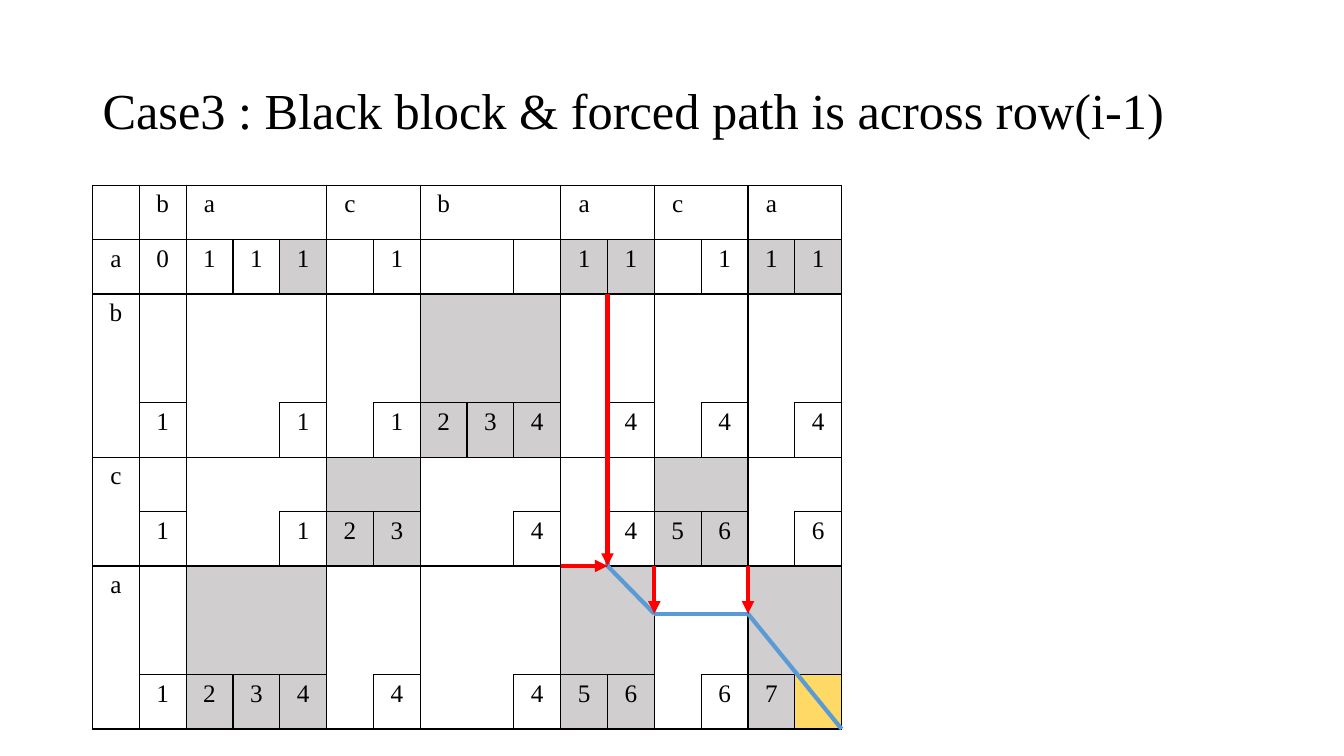
import pptx
import pptx.dml.color
import pptx.enum.shapes
import pptx.enum.text
import pptx.oxml
import pptx.oxml.ns
import pptx.util
from pptx.util import Cm


def color(hex_code):
    return pptx.dml.color.RGBColor.from_string(hex_code)


def write_text(frame, text, size, align, spacing=1.0):
    paragraph = frame.paragraphs[0]
    paragraph.text = text
    paragraph.alignment = align
    paragraph.line_spacing = spacing
    paragraph.font.size = pptx.util.Pt(size)
    paragraph.font.name = "Times New Roman"
    paragraph.font.color.rgb = color("000000")


ALIGN = pptx.enum.text.PP_ALIGN
NAMESPACE = pptx.oxml.ns.nsdecls("a")

# "." is an empty cell, "_" an empty cell with a box, like the digits.
GRID = [
    ".ba..c.b..a.c.a.",
    "a0111.1.._11.111",
    "b...............",
    "................",
    ".1..1.1234.4.4.4",
    "c...............",
    ".1..123..4.456.6",
    "a...............",
    "................",
    ".1234.4..456.67_",
]
COLUMN_BLOCKS = [0, 1, 2, 2, 2, 3, 3, 4, 4, 4, 5, 5, 6, 6, 7, 7]
ROW_BLOCKS = [0, 1, 2, 2, 2, 3, 3, 4, 4, 4]
COLUMN_LETTERS = ".bacbaca"
ROW_LETTERS = ".abca"
UNMATCHED = [(1, 2), (1, 3)]
CURRENT = (9, 15)
SIDES = [("lnL", 0, -1), ("lnR", 0, 1), ("lnT", -1, 0), ("lnB", 1, 0)]
LEFT, TOP, COLUMN_WIDTH, ROW_HEIGHT = 2.33, 4.67, 1.18, 1.37

deck = pptx.Presentation()
deck.slide_width, deck.slide_height = Cm(33.87), Cm(19.05)
slide = deck.slides.add_slide(deck.slide_layouts[5])

title = slide.shapes.title
title.left, title.top, title.width, title.height = Cm(2.33), Cm(1.01), Cm(29.21), Cm(3.68)
title.text_frame.vertical_anchor = pptx.enum.text.MSO_ANCHOR.MIDDLE
write_text(title.text_frame, "Case3 : Black block & forced path is across row(i-1)",
           size=36, align=ALIGN.LEFT, spacing=0.9)

row_count, column_count = len(GRID), len(GRID[0])
matrix = slide.shapes.add_table(
    row_count, column_count, Cm(LEFT), Cm(TOP),
    Cm(column_count * COLUMN_WIDTH), Cm(row_count * ROW_HEIGHT)).table
matrix.first_row = matrix.horz_banding = False
for column in matrix.columns:
    column.width = Cm(COLUMN_WIDTH)
for row in matrix.rows:
    row.height = Cm(ROW_HEIGHT)

for r, line in enumerate(GRID):
    for c, mark in enumerate(line):
        cell = matrix.cell(r, c)
        write_text(cell.text_frame, mark.strip("._"), size=18, align=ALIGN.CENTER)

        # Edges lie between blocks and around every boxed cell.
        for side, down, across in SIDES:
            r2, c2 = r + down, c + across
            inside = 0 <= r2 < row_count and 0 <= c2 < column_count
            drawn = (not inside
                     or ROW_BLOCKS[r] != ROW_BLOCKS[r2]
                     or COLUMN_BLOCKS[c] != COLUMN_BLOCKS[c2]
                     or mark in "0123456789_"
                     or GRID[r2][c2] in "0123456789_")
            stroke = '<a:solidFill><a:srgbClr val="000000"/></a:solidFill>' if drawn else "<a:noFill/>"
            cell._tc.get_or_add_tcPr().append(pptx.oxml.parse_xml(
                f'<a:{side} {NAMESPACE} w="12700">{stroke}</a:{side}>'))

        matching = (c > 1 and (r, c) not in UNMATCHED
                    and ROW_LETTERS[ROW_BLOCKS[r]] == COLUMN_LETTERS[COLUMN_BLOCKS[c]])
        if (r, c) == CURRENT:
            fill_color = "FFD966"
        elif matching:
            fill_color = "D0CECE"
        else:
            fill_color = "FFFFFF"
        cell.fill.solid()
        cell.fill.fore_color.rgb = color(fill_color)

# Path ends are (column, row) positions on the grid.
BLUE, RED = "5B9BD5", "FF0000"
PATH_STEPS = [
    ((16, 10), (14, 7.88), BLUE),
    ((14, 7.88), (12, 7.88), BLUE),
    ((12, 7.88), (11, 7), BLUE),
    ((11, 7), (11, 2), BLUE),
    ((14, 7), (14, 7.88), RED),
    ((12, 7), (12, 7.88), RED),
    ((10, 7), (11, 7), RED),
    ((11, 2), (11, 7), RED),
]
for start, end, step_color in PATH_STEPS:
    step = slide.shapes.add_connector(
        pptx.enum.shapes.MSO_CONNECTOR.STRAIGHT,
        Cm(LEFT + start[0] * COLUMN_WIDTH), Cm(TOP + start[1] * ROW_HEIGHT),
        Cm(LEFT + end[0] * COLUMN_WIDTH), Cm(TOP + end[1] * ROW_HEIGHT))
    step.line.color.rgb = color(step_color)
    step.line.width = pptx.util.Pt(3)
    if step_color == RED:
        step.line._get_or_add_ln().append(
            pptx.oxml.parse_xml(f'<a:tailEnd {NAMESPACE} type="triangle"/>'))
    step._element.spPr.append(pptx.oxml.parse_xml(f"<a:effectLst {NAMESPACE}/>"))

deck.save("out.pptx")
